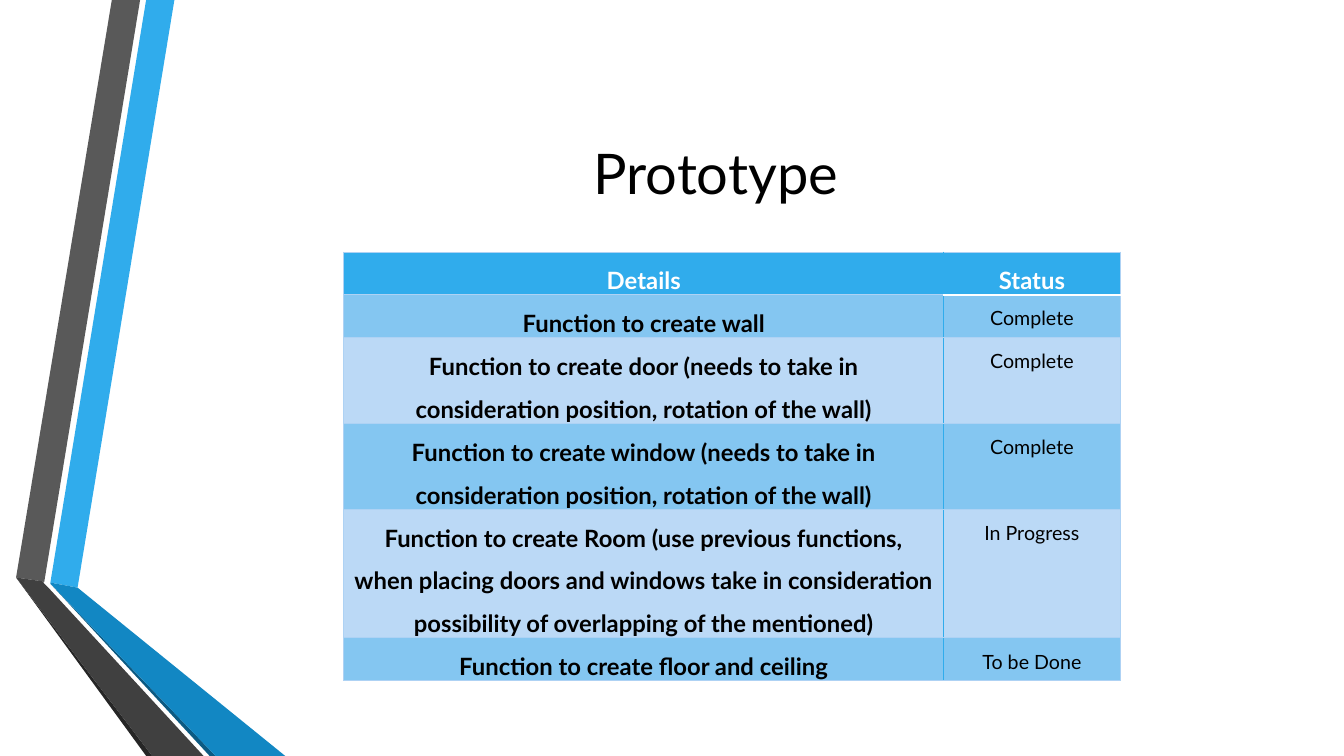
"""Build the Prototype status slide."""
from dataclasses import dataclass

from lxml import etree
from pptx import Presentation
from pptx import util as u
from pptx.dml.color import RGBColor
from pptx.enum import text
from pptx.oxml import ns


@dataclass(frozen=True)
class Theme:
    """Hold the colours, font and type sizes."""
    font: str = "Lato"
    head: int = 40
    label: int = 17
    state: int = 14
    ink: str = "000000"
    white: str = "FFFFFF"
    blue: str = "30ACEC"
    dark: str = "84C6F1"
    light: str = "BBD9F6"
    edge: str = "AED2F4"


THEME = Theme()

RIBBONS = [
    (THEME.blue, [(50, 578), (77, 583), (173, 0), (145, 0)]),
    ("595959", [(139, 0), (111, 0), (16, 573), (44, 577)]),
    ("262626", [(16, 573), (145, 750), (151, 750)]),
    ("0C5A82", [(50, 579), (208, 750), (214, 750)]),
    ("1287C3", [(50, 579), (214, 750), (283, 750), (77, 583), (50, 578)]),
    ("404040", [(202, 750), (48, 583), (43, 578), (44, 577), (16, 573), (151, 750)]),
]

ROWS = [
    ("Details", "Status", 0.42),
    ("Function to create wall", "Complete", 0.42),
    ("Function to create door (needs to take in consideration position, "
     "rotation of the wall)", "Complete", 0.85),
    ("Function to create window (needs to take in consideration position, "
     "rotation of the wall)", "Complete", 0.85),
    ("Function to create Room (use previous functions, when placing doors and "
     "windows take in consideration possibility of overlapping of the mentioned)",
     "In Progress", 1.27),
    ("Function to create floor and ceiling", "To be Done", 0.42),
]


def style(para, size, tint, bold=False):
    """Centre a paragraph and set its font."""
    para.alignment = text.PP_ALIGN.CENTER
    para.font.name = THEME.font
    para.font.size = u.Pt(size)
    para.font.bold = bold
    para.font.color.rgb = RGBColor.from_string(tint)


def ribbon(slide, tint, points):
    """Draw a filled outline from points in hundredths of an inch."""
    pen = slide.shapes.build_freeform(*points[0], scale=u.Inches(0.01))
    pen.add_line_segments(points[1:], close=True)
    shape = pen.convert_to_shape()
    shape.shadow.inherit = False
    shape.fill.solid()
    shape.fill.fore_color.rgb = RGBColor.from_string(tint)
    shape.line.fill.background()


def title(slide, words):
    """Fill and place the title."""
    box = slide.shapes.title
    box.left, box.top = u.Inches(1.62), u.Inches(0.75)
    box.width, box.height = u.Inches(10.96), u.Inches(1.92)
    box.text_frame.text = words
    box.text_frame.vertical_anchor = text.MSO_ANCHOR.MIDDLE
    style(box.text_frame.paragraphs[0], THEME.head, THEME.ink)


def border(cell, side, tint, width):
    """Draw one edge of a cell."""
    props = cell._tc.get_or_add_tcPr()
    line = etree.SubElement(props, ns.qn(f"a:ln{side}"), w=str(u.Pt(width)))
    fill = etree.SubElement(line, ns.qn("a:solidFill"))
    etree.SubElement(fill, ns.qn("a:srgbClr"), val=tint)


def paint(cell, words, row, col):
    """Write a cell with its edges, fill and font."""
    thin, rule, gap = (THEME.edge, 0.75), (THEME.blue, 1.25), (THEME.white, 1.25)
    edges = {
        "L": rule if col else thin,
        "R": thin if col else rule,
        "T": gap if col and row == 1 else thin,
        "B": gap if col and row == 0 else thin,
    }
    for side, pen in edges.items():
        border(cell, side, *pen)
    cell.fill.solid()
    band = THEME.dark if row % 2 else THEME.light
    cell.fill.fore_color.rgb = RGBColor.from_string(band if row else THEME.blue)
    cell.margin_left = cell.margin_right = u.Inches(0.1)
    cell.margin_top = cell.margin_bottom = 0
    cell.text = words
    para = cell.text_frame.paragraphs[0]
    para.line_spacing = 1.5
    plain = row > 0 and col == 1
    style(para, THEME.state if plain else THEME.label,
          THEME.ink if row else THEME.white, not plain)


def grid(slide):
    """Add the table of functions and their status."""
    frame = slide.shapes.add_table(
        len(ROWS), 2, u.Inches(3.41), u.Inches(2.5), u.Inches(7.7), u.Inches(4.23))
    table = frame.table
    for col, width in enumerate((5.95, 1.75)):
        table.columns[col].width = u.Inches(width)
    for row, (*words, height) in enumerate(ROWS):
        table.rows[row].height = u.Inches(height)
        for col, word in enumerate(words):
            paint(table.cell(row, col), word, row, col)


def main():
    """Build and save the slide."""
    deck = Presentation()
    deck.slide_width, deck.slide_height = u.Inches(13.33), u.Inches(7.5)
    slide = deck.slides.add_slide(deck.slide_layouts[5])
    for tint, points in RIBBONS:
        ribbon(slide, tint, points)
    title(slide, "Prototype")
    grid(slide)
    deck.save("out.pptx")


main()
